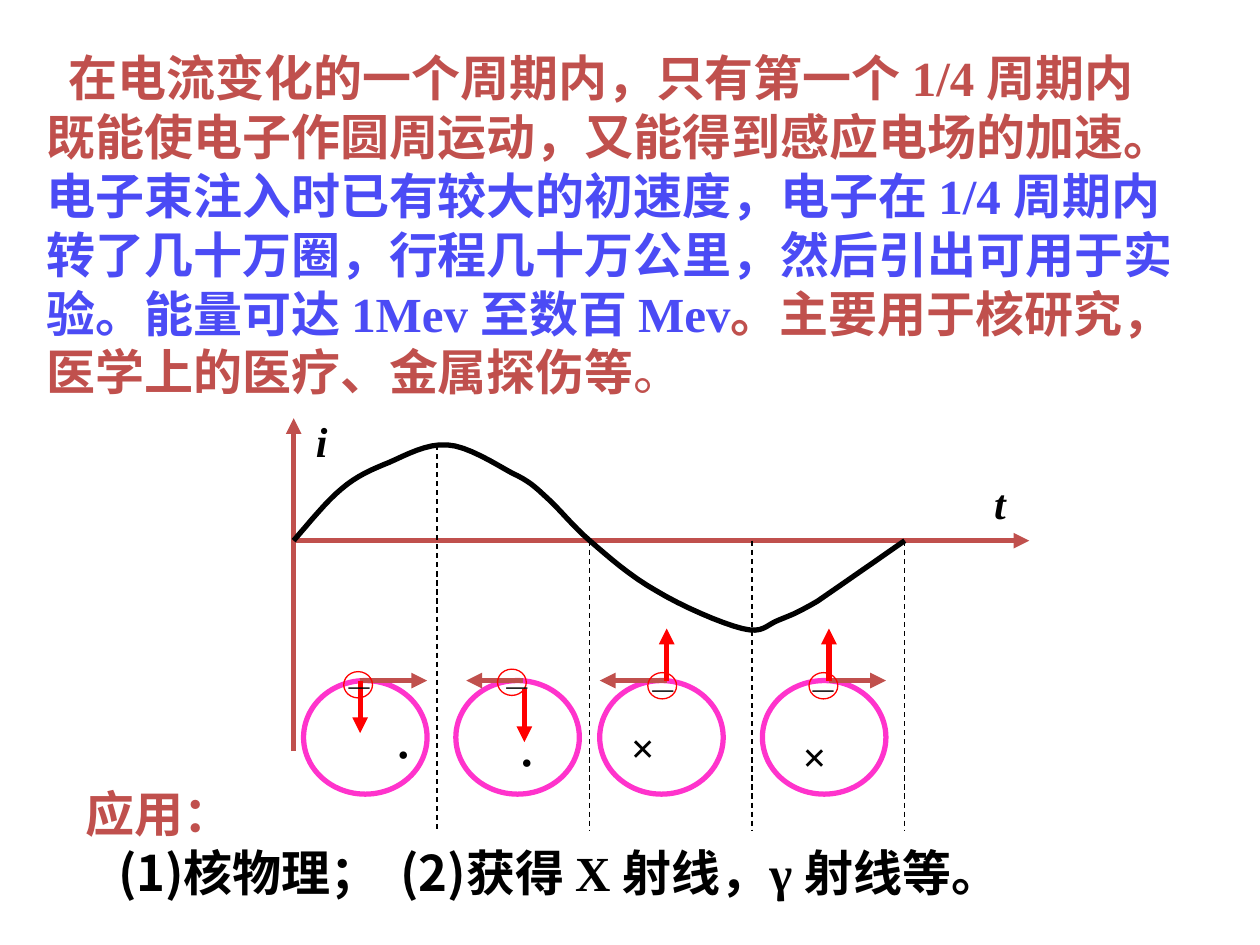
from lxml.etree import SubElement
from pptx import Presentation
from pptx.dml.color import RGBColor
from pptx.enum.dml import MSO_LINE
from pptx.enum.shapes import MSO_CONNECTOR, MSO_SHAPE
from pptx.oxml.ns import qn
from pptx.util import Cm, Pt

SANS, SERIF = "Noto Sans CJK SC", "Times New Roman"
BRICK, BLUE, RED, PINK, BLACK = "C0504D", "4B4BF5", "FF0000", "FF33CC", "000000"


def color(code):
    return RGBColor.from_string(code)


def write(para, text, size=28, face=SERIF, ink=BLACK, bold=True, slant=False):
    """Add one run of text with its format."""
    run = para.add_run()
    run.text = text
    font = run.font
    font.size, font.name, font.bold, font.italic = Pt(size), face, bold, slant
    font.color.rgb = color(ink)
    SubElement(run._r.get_or_add_rPr(), qn("a:ea")).set("typeface", SANS)


def bezier(knots, steps=8):
    """Points along joined cubic curves."""
    points = [knots[0]]
    for i in range(0, len(knots) - 1, 3):
        for n in range(1, steps + 1):
            t = n / steps
            parts = ((1 - t) ** 3, 3 * t * (1 - t) ** 2, 3 * t * t * (1 - t), t ** 3)
            points.append(tuple(
                sum(w * p[axis] for w, p in zip(parts, knots[i:i + 4]))
                for axis in (0, 1)))
    return points


class Sketch:
    thick, thin = 3, 0.75

    def __init__(self, slide):
        self.shapes = slide.shapes

    def box(self, x, y, wide, high):
        frame = self.shapes.add_textbox(Cm(x), Cm(y), Cm(wide), Cm(high)).text_frame
        frame.word_wrap = True
        return frame

    def label(self, text, x, y, wide, high, **style):
        write(self.box(x, y, wide, high).paragraphs[0], text, **style)

    def line(self, start, end, ink, width=thick, arrow=False, dash=False):
        link = self.shapes.add_connector(
            MSO_CONNECTOR.STRAIGHT, *map(Cm, (*start, *end)))
        link.line.color.rgb = color(ink)
        link.line.width = Pt(width)
        if dash:
            link.line.dash_style = MSO_LINE.DASH
        if arrow:
            SubElement(link.line._get_or_add_ln(), qn("a:tailEnd")).set("type", "triangle")
        SubElement(link._element.spPr, qn("a:effectLst"))

    def outline(self, shape, ink, width):
        shape.shadow.inherit = False
        shape.fill.background()
        shape.line.color.rgb = color(ink)
        shape.line.width = Pt(width)

    def ring(self, x, y, wide, high, ink, width):
        shape = self.shapes.add_shape(MSO_SHAPE.OVAL, Cm(x), Cm(y), Cm(wide), Cm(high))
        self.outline(shape, ink, width)

    def curve(self, knots, ink):
        points = [(Cm(x), Cm(y)) for x, y in bezier(knots)]
        form = self.shapes.build_freeform(*points[0], scale=1.0)
        form.add_line_segments(points[1:], close=False)
        self.outline(form.convert_to_shape(), ink, self.thick)


deck = Presentation()
deck.slide_width, deck.slide_height = Cm(25.4), Cm(19.05)
art = Sketch(deck.slides.add_slide(deck.slide_layouts[6]))

# Main text
body = art.box(0.69, 0.84, 23.8, 7.44)
lead = body.paragraphs[0]
lead._p.get_or_add_pPr().set("indent", str(Cm(0.45)))
write(lead, "在电流变化的一个周期内，只有第一个 1/4 周期内", ink=BRICK)
rest = body.add_paragraph()
write(rest, "既能使电子作圆周运动，又能得到感应电场的加速。", ink=BRICK)
write(rest, "电子束注入时已有较大的初速度，电子在 1/4 周期内转了几十万圈，"
      "行程几十万公里，然后引出可用于实验。能量可达 1Mev 至数百 Mev", ink=BLUE)
write(rest, "。主要用于核研究，医学上的医疗、金属探伤等", ink=BRICK)
write(rest, "。", ink=BRICK, bold=False)

# Axes
left, zero = 5.92, 10.9
art.line((left, zero), (20.75, zero), BRICK, arrow=True)
art.line((left, 15.14), (left, 8.43), BRICK, arrow=True)
art.label("t", 19.79, 9.5, 0.76, 1.27, size=24, slant=True)
art.label("i", 6.12, 8.26, 0.97, 1.27, size=24, slant=True)

# Current over one period
art.curve([
    (left, zero), (6.25, 10.52), (6.58, 10.11), (6.88, 9.86),
    (7.21, 9.58), (7.49, 9.47), (7.85, 9.32),
    (8.2, 9.17), (8.59, 8.94), (9.02, 8.97),
    (9.42, 8.99), (9.98, 9.35), (10.31, 9.53),
    (10.67, 9.7), (10.77, 9.8), (11.02, 10.03),
    (11.28, 10.26), (11.53, 10.59), (11.89, zero),
    (12.27, 11.23), (12.7, 11.61), (13.23, 11.91),
    (13.74, 12.22), (14.55, 12.57), (14.96, 12.67),
    (15.39, 12.78), (15.44, 12.6), (15.7, 12.5),
    (15.95, 12.4), (16.05, 12.37), (16.48, 12.12),
    (16.89, 11.84), (17.88, 11.15), (18.24, zero)], BLACK)

# Quarter marks
for x, top in ((8.81, 8.97), (11.89, zero), (15.16, zero), (18.24, zero)):
    art.line((x, top), (x, 16.74), BLACK, art.thin, dash=True)

# Orbits: ring x, electron, minus sign, speed arrow, force arrow, field sign
rim = 13.72
orbits = [
    (6.12, (6.93, 13.54), (6.78, 13.44), (7.26, 8.61), (7.26, rim, 14.78),
     ("·", 7.67, 14.25)),
    (9.19, (10.03, 13.49), (9.96, 13.44), (10.54, 9.4), (10.57, 13.89, 14.96),
     ("·", 10.16, 14.43)),
    (12.09, (13.06, 13.56), (12.9, 13.49), (13.44, 12.09), (13.44, rim, 12.67),
     ("×", 12.47, 14.43)),
    (15.37, (16.31, 13.56), (16.13, 13.49), (16.71, 17.86), (16.71, rim, 12.67),
     ("×", 15.93, 14.61)),
]
signs = {"·": dict(wide=0.76, high=1.78, size=36, bold=False),
         "×": dict(wide=1.35, high=1.27, size=24)}
for x, dot, minus, speed, force, sign in orbits:
    art.ring(x, rim, 2.49, 2.29, PINK, art.thick)
    art.line((speed[0], rim), (speed[1], rim), BRICK, arrow=True)
    art.line((force[0], force[1]), (force[0], force[2]), RED, arrow=True)
    art.ring(*dot, 0.58, 0.53, RED, art.thin)
    art.label("—", *minus, 0.76, 0.76, size=12)
    art.label(*sign, **signs[sign[0]])

# Uses
uses = art.box(1.47, 15.67, 22.66, 2.62)
write(uses.paragraphs[0], "应用：", face=SANS, ink=BRICK)
item = uses.add_paragraph()
props = item._p.get_or_add_pPr()
props.set("indent", str(Cm(0.66)))
stop = SubElement(SubElement(props, qn("a:tabLst")), qn("a:tab"))
stop.set("pos", str(Cm(7.1)))
stop.set("algn", "l")
write(item, "(1)核物理；\t(2)获得 ", face=SANS)
write(item, "X 射线，γ 射线")
write(item, "等。", face=SANS)

deck.save("out.pptx")
